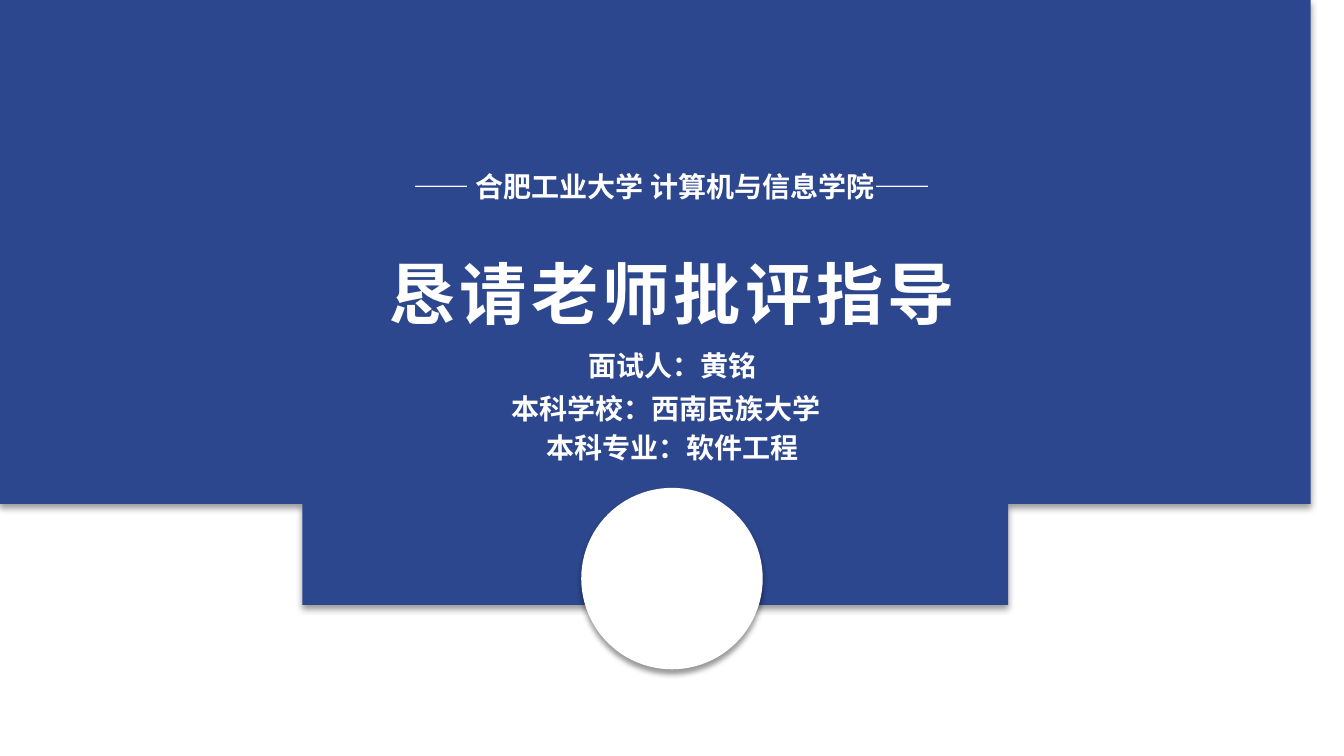
from lxml import etree
from pptx import Presentation
from pptx.dml.color import RGBColor
from pptx.enum.shapes import MSO_SHAPE as Shape
from pptx.enum.text import MSO_ANCHOR as Anchor, MSO_AUTO_SIZE as AutoSize, PP_ALIGN as Align
from pptx.oxml import parse_xml
from pptx.oxml.ns import nsdecls, qn
from pptx.util import Inches, Pt

COLORS = {"blue": "2C478E", "white": "FFFFFF", "shadow": "000000"}
FONT = "Noto Sans CJK SC"
WIDTH, HEIGHT = 13.33, 7.5
CENTER = WIDTH / 2


def finish_shape(shape, color):
    shape.fill.solid()
    shape.fill.fore_color.rgb = RGBColor.from_string(COLORS[color])
    shape.line.fill.background()
    shape.shadow.inherit = False
    effects = shape._element.spPr.find(qn("a:effectLst"))
    effects.append(parse_xml(
        f'<a:outerShdw {nsdecls("a")} blurRad="{Pt(4)}" dist="{Pt(3)}" dir="5400000" '
        f'algn="t" rotWithShape="0"><a:srgbClr val="{COLORS["shadow"]}">'
        '<a:alpha val="40000"/></a:srgbClr></a:outerShdw>'))


def write_line(box, text, size, anchor):
    frame = box.text_frame
    frame.word_wrap = True
    frame.auto_size = AutoSize.NONE
    frame.vertical_anchor = anchor
    para = frame.paragraphs[0]
    para.text = text
    para.alignment = Align.CENTER
    para.line_spacing = 1
    para.space_before = Pt(0)
    font = para.font
    font.size = Pt(size)
    font.bold = True
    font.name = FONT
    font.color.rgb = RGBColor.from_string(COLORS["white"])
    etree.SubElement(font._element, qn("a:ea"), typeface=FONT)
    return font


deck = Presentation()
deck.slide_width, deck.slide_height = Inches(WIDTH), Inches(HEIGHT)
page = deck.slides.add_slide(deck.slide_layouts[5])

title = page.shapes.title
title.left, title.top, title.width, title.height = map(Inches, (1.39, 2.45, 10.55, 1.72))
title_font = write_line(title, "恳请老师批评指导", 48, Anchor.TOP)
title_font._element.set("spc", "300")

STEPS = 40
curve = [(13.1, 4.63), (11.28, 5.38), (9.06, 5.82), (CENTER, 5.82)]
right_arc = []
for step in range(STEPS + 1):
    t = step / STEPS
    weights = ((1 - t) ** 3, 3 * t * (1 - t) ** 2, 3 * t ** 2 * (1 - t), t ** 3)
    right_arc.append(tuple(sum(w * point[axis] for w, point in zip(weights, curve))
                           for axis in (0, 1)))
left_arc = [(WIDTH - x, y) for x, y in reversed(right_arc[:-1])]
outline = [(WIDTH, 0), (WIDTH, 4.53), *right_arc, *left_arc, (0, 4.53)]
builder = page.shapes.build_freeform(0, 0, scale=Inches(1))
builder.add_line_segments(outline, close=True)
dome = builder.convert_to_shape()
finish_shape(dome, "blue")

DIAMETER = 1.8
circle = page.shapes.add_shape(Shape.OVAL, Inches(CENTER - DIAMETER / 2), Inches(4.84),
                               Inches(DIAMETER), Inches(DIAMETER))
finish_shape(circle, "white")

school = page.shapes.add_textbox(Inches(1.61), Inches(1.68), Inches(10.11), Inches(0.34))
frame = school.text_frame
frame.margin_left = frame.margin_right = frame.margin_top = frame.margin_bottom = 0
write_line(school, "—— 合肥工业大学 计算机与信息学院——", 20, Anchor.TOP)

details = [
    ("面试人：黄铭", 5.16, 3.45, 3.02),
    ("本科学校：西南民族大学", 4.67, 3.88, 3.87),
    ("本科专业：软件工程", 5.16, 4.27, 3.02),
]
for text, left, top, width in details:
    box = page.shapes.add_textbox(Inches(left), Inches(top), Inches(width), Inches(0.34))
    write_line(box, text, 20, Anchor.MIDDLE)

tree = page.shapes._spTree
tree.remove(title._element)
tree.append(title._element)

deck.save("out.pptx")
